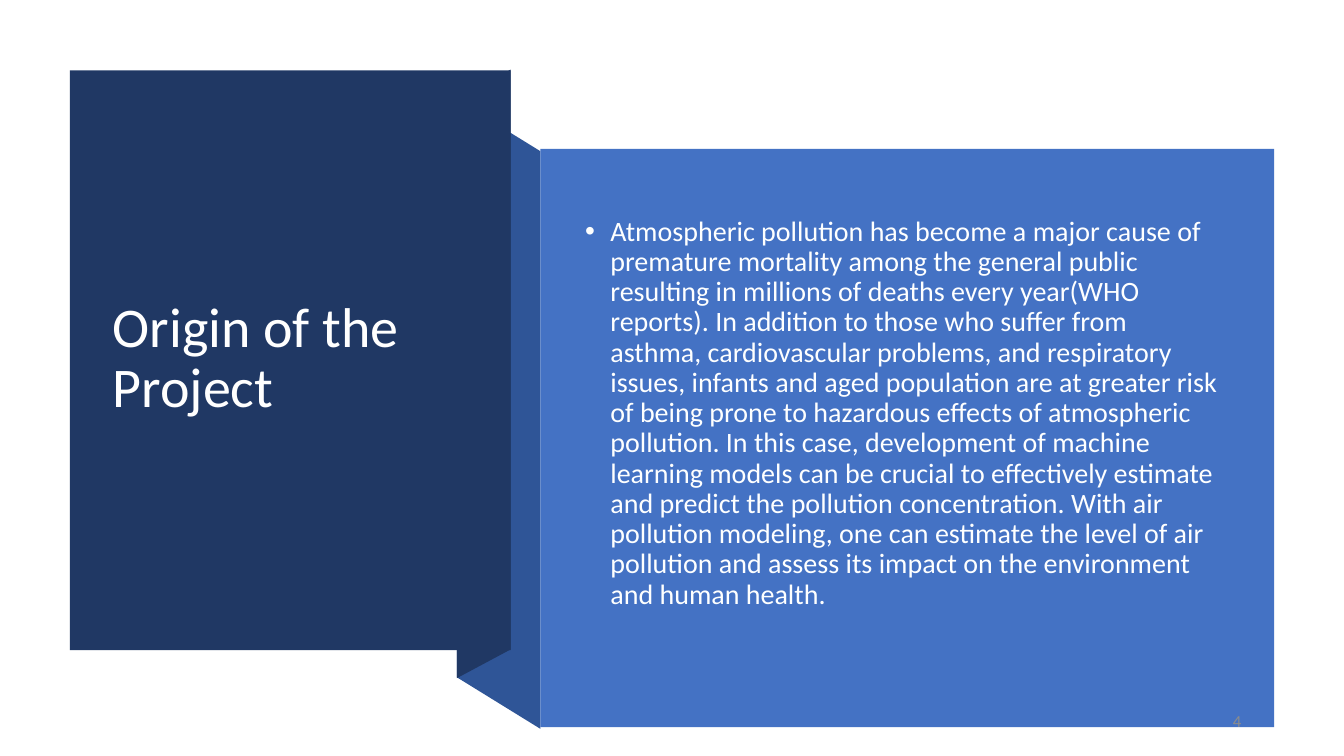
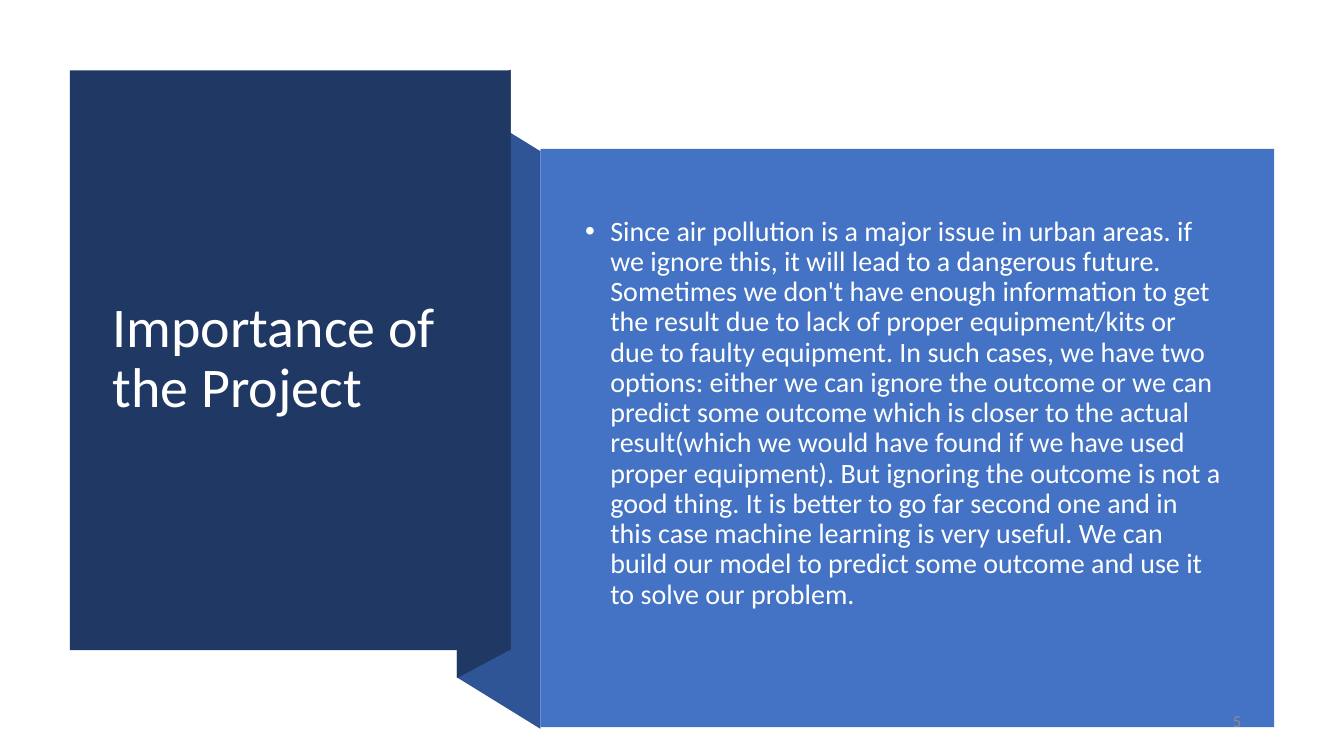
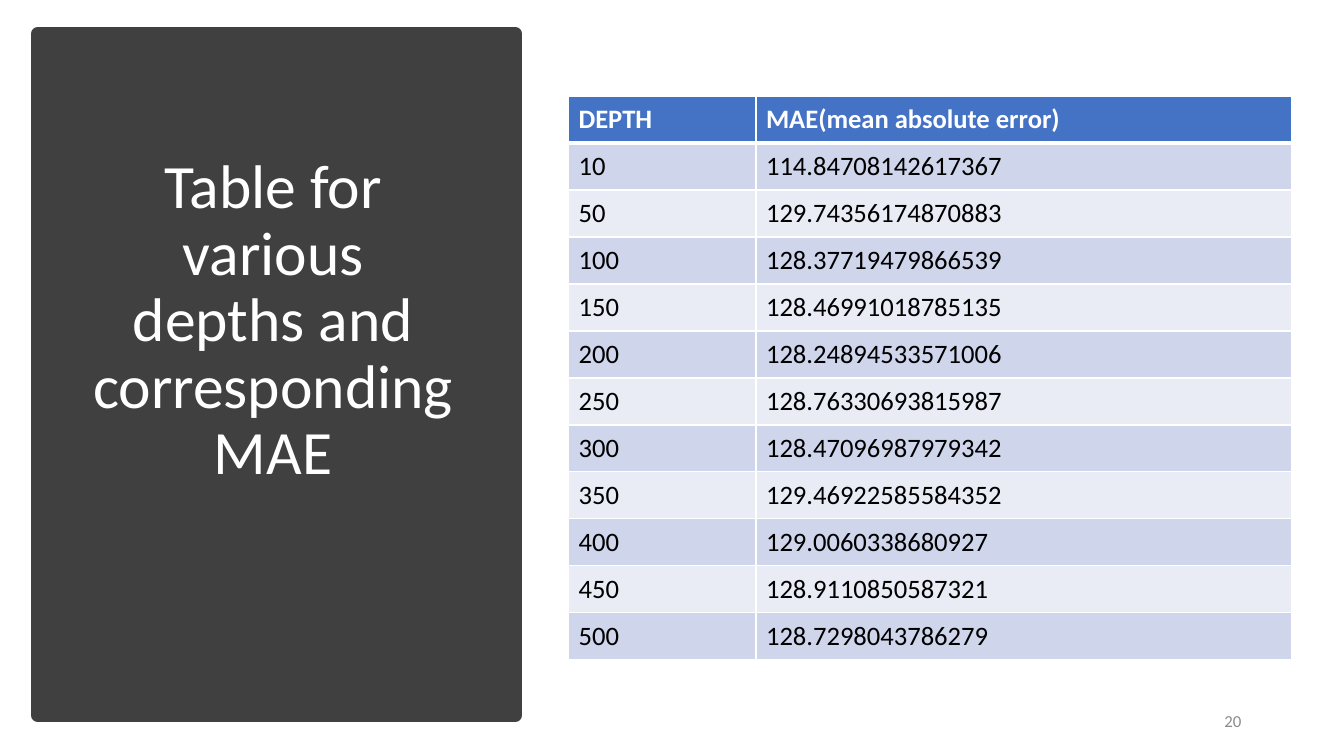
"""Build three slides on an air pollution project: two folded-ribbon text slides and a table."""
from lxml import etree
from pptx import Presentation
from pptx.dml.color import RGBColor
from pptx.enum.shapes import MSO_SHAPE
from pptx.enum.text import MSO_ANCHOR, PP_ALIGN
from pptx.oxml.ns import qn
from pptx.util import Inches, Pt

RECTANGLE = MSO_SHAPE.RECTANGLE
MIDDLE = MSO_ANCHOR.MIDDLE
LEFT, CENTER, RIGHT = PP_ALIGN.LEFT, PP_ALIGN.CENTER, PP_ALIGN.RIGHT

FONT = "Calibri"
WHITE = RGBColor(0xFF, 0xFF, 0xFF)
BODY_WHITE = RGBColor(0xFE, 0xFF, 0xFF)
BLACK = RGBColor(0x00, 0x00, 0x00)
NAVY = RGBColor(0x20, 0x38, 0x64)
FOLD_BLUE = RGBColor(0x2F, 0x55, 0x97)
BLUE = RGBColor(0x44, 0x72, 0xC4)
CHARCOAL = RGBColor(0x40, 0x40, 0x40)
NUMBER_GRAY = RGBColor(0x8C, 0x8C, 0x8C)
BANDS = (RGBColor(0xE9, 0xEB, 0xF5), RGBColor(0xCF, 0xD5, 0xEA))

presentation = Presentation()
presentation.slide_width = Inches(13.33)
presentation.slide_height = Inches(7.5)
BLANK = presentation.slide_layouts[6]
COLUMN = presentation.slide_width / 100
ROW = presentation.slide_height / 100

TITLE_BOX = (7.65, 14.3, 27.8, 66.5)
TITLE_PANEL = (5.2, 9.3, 32.8, 76.7)
BODY_PANEL = (40.2, 19.7, 54.6, 76.5)
BODY_BOX = (42.8, 25.1, 48.8, 59.2)
NUMBER_BOX = (70.6, 92.7, 22.5, 5.3)
FOLDS = (
    (FOLD_BLUE, ((40.2, 96.4), (34, 89.6), (34, 13.2), (40.2, 20))),
    (NAVY, ((38, 85.9), (34, 89.7), (34, 13.1), (38, 9.2))),
)


def place(left, top, width, height):
    return int(left * COLUMN), int(top * ROW), int(width * COLUMN), int(height * ROW)


def add_text(slide, box, text, size, color, align=LEFT, spacing=0.9, bullet=False):
    frame = slide.shapes.add_textbox(*place(*box)).text_frame
    frame.word_wrap = True
    frame.vertical_anchor = MIDDLE
    frame.text = text
    paragraph = frame.paragraphs[0]
    paragraph.alignment = align
    paragraph.line_spacing = spacing
    if bullet:
        properties = paragraph._p.get_or_add_pPr()
        properties.set("marL", str(Inches(0.25)))
        properties.set("indent", str(-Inches(0.25)))
        etree.SubElement(properties, qn("a:buFont")).set("typeface", "Arial")
        etree.SubElement(properties, qn("a:buChar")).set("char", "•")
    font = paragraph.runs[0].font
    font.name, font.size, font.color.rgb = FONT, Pt(size), color


text_slides = (
    (
        "Origin of the Project",
        "Atmospheric pollution has become a major cause of premature mortality among the "
        "general public resulting in millions of deaths every year(WHO reports). In addition "
        "to those who suffer from asthma, cardiovascular problems, and respiratory issues, "
        "infants and aged population are at greater risk of being prone to hazardous effects "
        "of atmospheric pollution. In this case, development of machine learning models can "
        "be crucial to effectively estimate and predict the pollution concentration. With air "
        "pollution modeling, one can estimate the level of air pollution and assess its "
        "impact on the environment and human health.",
        "4",
    ),
    (
        "Importance of the Project",
        "Since air pollution is a major issue in urban areas. if we ignore this, it will lead "
        "to a dangerous future. Sometimes we don't have enough information to get the result "
        "due to lack of proper equipment/kits or due to faulty equipment. In such cases, we "
        "have two options: either we can ignore the outcome or we can predict some outcome "
        "which is closer to the actual result(which we would have found if we have used "
        "proper equipment). But ignoring the outcome is not a good thing. It is better to go "
        "far second one and in this case machine learning is very useful. We can build our "
        "model to predict some outcome and use it to solve our problem.",
        "5",
    ),
)

for title, body, number in text_slides:
    slide = presentation.slides.add_slide(BLANK)
    panels = []
    for color, corners in FOLDS:
        points = [(int(x * COLUMN), int(y * ROW)) for x, y in corners]
        builder = slide.shapes.build_freeform(*points[0])
        builder.add_line_segments(points[1:], close=True)
        panels.append((builder.convert_to_shape(), color))
    for box, color in ((TITLE_PANEL, NAVY), (BODY_PANEL, BLUE)):
        panels.append((slide.shapes.add_shape(RECTANGLE, *place(*box)), color))
    for shape, color in panels:
        shape.shadow.inherit = False
        shape.fill.solid()
        shape.fill.fore_color.rgb = color
        shape.line.fill.background()
    add_text(slide, TITLE_BOX, title, 40, WHITE)
    add_text(slide, BODY_BOX, body, 20, BODY_WHITE, bullet=True)
    add_text(slide, NUMBER_BOX, number, 12, NUMBER_GRAY, RIGHT, 1)

slide = presentation.slides.add_slide(BLANK)
panel = slide.shapes.add_shape(RECTANGLE, *place(2.8, 4.5, 35.55, 90.1))
panel.shadow.inherit = False
panel.fill.solid()
panel.fill.fore_color.rgb = CHARCOAL
panel.line.color.rgb = CHARCOAL
panel.line.width = Pt(10)
add_text(slide, (6.08, 10.8, 28.5, 63.6), "Table for various depths and corresponding MAE",
         44, WHITE, CENTER)

table_rows = (
    ("DEPTH", "MAE(mean absolute error)"),
    ("10", "114.84708142617367"),
    ("50", "129.74356174870883"),
    ("100", "128.37719479866539"),
    ("150", "128.46991018785135"),
    ("200", "128.24894533571006"),
    ("250", "128.76330693815987"),
    ("300", "128.47096987979342"),
    ("350", "129.46922585584352"),
    ("400", "129.0060338680927"),
    ("450", "128.9110850587321"),
    ("500", "128.7298043786279"),
)
column_widths = (13.95, 39.85)
row_height = 6.22
table = slide.shapes.add_table(
    len(table_rows), len(column_widths),
    *place(42.3, 12.7, sum(column_widths), row_height * len(table_rows)),
).table
for column, width in zip(table.columns, column_widths):
    column.width = int(width * COLUMN)

for row_index, values in enumerate(table_rows):
    is_header = row_index == 0
    table.rows[row_index].height = int(row_height * ROW)
    for column_index, value in enumerate(values):
        cell = table.cell(row_index, column_index)
        cell.text = value
        cell.vertical_anchor = MIDDLE
        font = cell.text_frame.paragraphs[0].runs[0].font
        font.name, font.size, font.bold = FONT, Pt(19), is_header
        font.color.rgb = WHITE if is_header else BLACK
        properties = cell._tc.get_or_add_tcPr()
        for side in ("lnL", "lnR", "lnT", "lnB"):
            under_header = (row_index, side) in ((0, "lnB"), (1, "lnT"))
            border = etree.SubElement(properties, qn(f"a:{side}"))
            border.set("w", str(Pt(3 if under_header else 1)))
            fill = etree.SubElement(border, qn("a:solidFill"))
            etree.SubElement(fill, qn("a:srgbClr")).set("val", str(WHITE))
        cell.fill.solid()
        cell.fill.fore_color.rgb = BLUE if is_header else BANDS[row_index % 2]

add_text(slide, NUMBER_BOX, "20", 12, NUMBER_GRAY, RIGHT, 1)

presentation.save("out.pptx")
